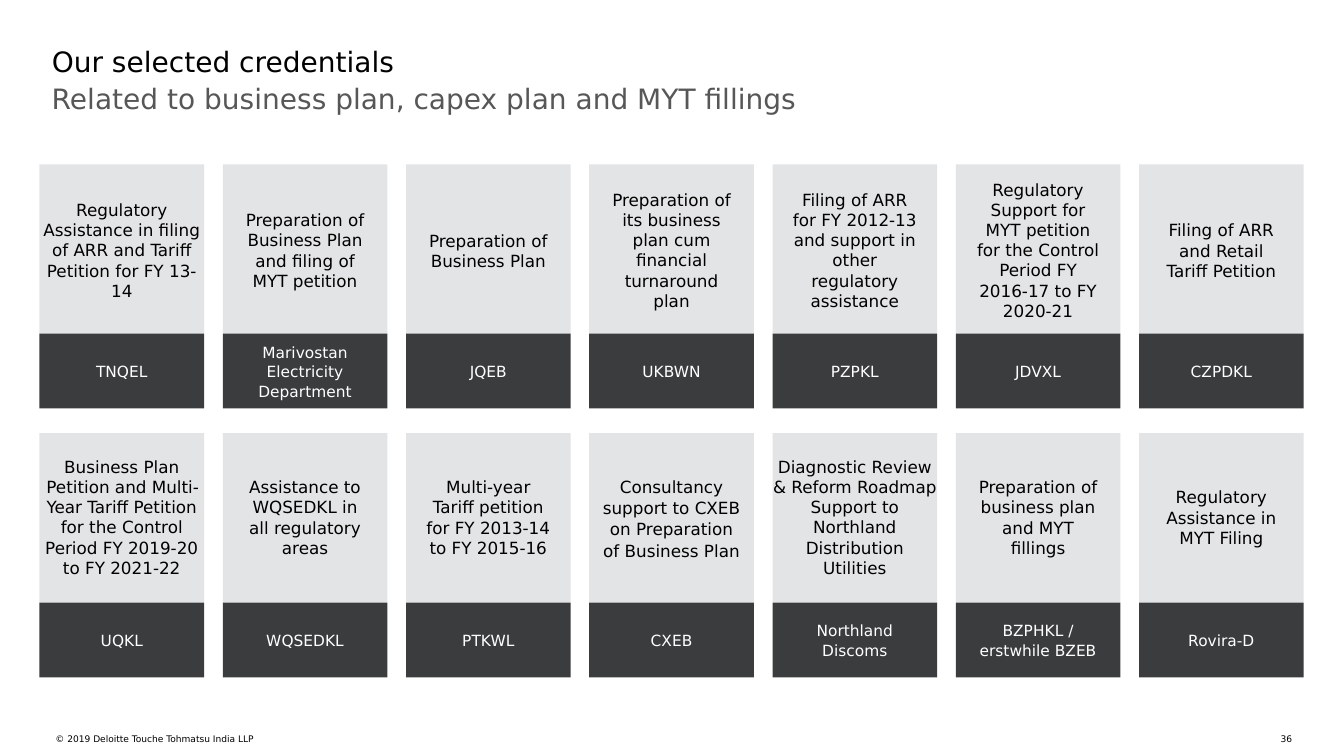
from pptx import Presentation
from pptx.dml.color import RGBColor
from pptx.enum.shapes import MSO_SHAPE as Preset
from pptx.enum.text import MSO_ANCHOR as Anchor, MSO_AUTO_SIZE as AutoSize, PP_ALIGN as Align
from pptx.util import Pt

BLACK = RGBColor(0x00, 0x00, 0x00)
WHITE = RGBColor(0xFF, 0xFF, 0xFF)
GREY = RGBColor(0x57, 0x57, 0x57)
PALE = RGBColor(0xE3, 0xE4, 0xE5)
CHARCOAL = RGBColor(0x3A, 0x3C, 0x3E)
FONT = "DejaVu Sans"

LEFT, PITCH = 28.2, 130.9
CARD_WIDTH, CARD_HEIGHT, CLIENT_HEIGHT = 117.6, 121, 53.4
NARROW_WIDTH, LINE_HEIGHT = 92.2, 14.5

ROWS = [
    (117.4, 179, [
        ("Regulatory Assistance in filing of ARR and Tariff Petition for FY 13-14", "TNQEL", 5, CARD_WIDTH),
        ("Preparation of Business Plan and filing of MYT petition",
         "Marivostan Electricity Department", 4, NARROW_WIDTH),
        ("Preparation of Business Plan", "JQEB", 2, NARROW_WIDTH),
        ("Preparation of its business plan cum financial turnaround plan", "UKBWN", 6, NARROW_WIDTH),
        ("Filing of ARR for FY 2012-13 and support in other regulatory assistance", "PZPKL", 6, NARROW_WIDTH),
        ("Regulatory Support for MYT petition for the Control Period FY 2016-17 to FY 2020-21",
         "JDVXL", 7, NARROW_WIDTH),
        ("Filing of ARR and Retail Tariff Petition", "CZPDKL", 3, NARROW_WIDTH),
    ]),
    (309.4, 369.7, [
        ("Business Plan Petition and Multi-Year Tariff Petition for the Control Period FY 2019-20 to FY 2021-22",
         "UQKL", 6, CARD_WIDTH),
        ("Assistance to WQSEDKL in all regulatory areas", "WQSEDKL", 4, NARROW_WIDTH),
        ("Multi-year Tariff petition for FY 2013-14 to FY 2015-16", "PTKWL", 4, NARROW_WIDTH),
        ("Consultancy support to CXEB on Preparation of Business Plan", "CXEB", 0, CARD_WIDTH),
        ("Diagnostic Review & Reform Roadmap Support to Northland Distribution Utilities",
         "Northland Discoms", 6, CARD_WIDTH),
        ("Preparation of business plan and MYT fillings", "BZPHKL / erstwhile BZEB", 4, NARROW_WIDTH),
        ("Regulatory Assistance in MYT Filing", "Rovira-D", 3, NARROW_WIDTH),
    ]),
]


def write(frame, text, size=12, color=BLACK, align=Align.LEFT, anchor=Anchor.TOP, inset=0, spacing=None):
    frame.word_wrap = True
    frame.auto_size = AutoSize.NONE
    frame.vertical_anchor = anchor
    frame.margin_left = frame.margin_right = Pt(inset)
    frame.margin_top = frame.margin_bottom = Pt(inset)
    paragraph = frame.paragraphs[0]
    paragraph.alignment = align
    if spacing:
        paragraph.line_spacing = spacing
    run = paragraph.add_run()
    run.text = text
    run.font.name = FONT
    run.font.size = Pt(size)
    run.font.color.rgb = color


class CredentialsSlide:
    def __init__(self, deck):
        self.slide = deck.slides.add_slide(deck.slide_layouts[5])

    def title(self, text, left, top, width, height, **style):
        heading = self.slide.shapes.title
        heading.left, heading.top = Pt(left), Pt(top)
        heading.width, heading.height = Pt(width), Pt(height)
        write(heading.text_frame, text, **style)

    def text(self, text, left, top, width, height, **style):
        box = self.slide.shapes.add_textbox(Pt(left), Pt(top), Pt(width), Pt(height))
        write(box.text_frame, text, **style)

    def panel(self, left, top, height, fill, text="", **style):
        panel = self.slide.shapes.add_shape(
            Preset.RECTANGLE, Pt(left), Pt(top), Pt(CARD_WIDTH), Pt(height))
        panel.shadow.inherit = False
        panel.fill.solid()
        panel.fill.fore_color.rgb = fill
        panel.line.fill.background()
        if text:
            write(panel.text_frame, text, align=Align.CENTER, anchor=Anchor.MIDDLE,
                  inset=7.2, spacing=1.06, **style)

    def credential(self, left, top, middle, work, client, lines, width):
        if lines:
            self.panel(left, top, CARD_HEIGHT, PALE)
            height = lines * LINE_HEIGHT
            self.text(work, left + (CARD_WIDTH - width) / 2, middle - height / 2,
                      width, height, align=Align.CENTER)
        else:
            self.panel(left, top, CARD_HEIGHT, PALE, work)
        self.panel(left, top + CARD_HEIGHT, CLIENT_HEIGHT, CHARCOAL, client, size=11, color=WHITE)


def main():
    deck = Presentation()
    deck.slide_width, deck.slide_height = Pt(960), Pt(540)
    page = CredentialsSlide(deck)
    page.title("Our selected credentials", 37, 31.7, 886, 54.7, size=20)
    page.text("Related to business plan, capex plan and MYT fillings",
              37, 58.3, 886, 59.8, size=20, color=GREY)
    for top, middle, credentials in ROWS:
        for column, credential in enumerate(credentials):
            page.credential(LEFT + column * PITCH, top, middle, *credential)
    page.text("© 2019 Deloitte Touche Tohmatsu India LLP", 39.6, 524.2, 422, 15.8, size=6.5)
    page.text("36", 898.6, 524.2, 24.5, 8, size=6.5, align=Align.RIGHT)
    deck.save("out.pptx")


if __name__ == "__main__":
    main()
